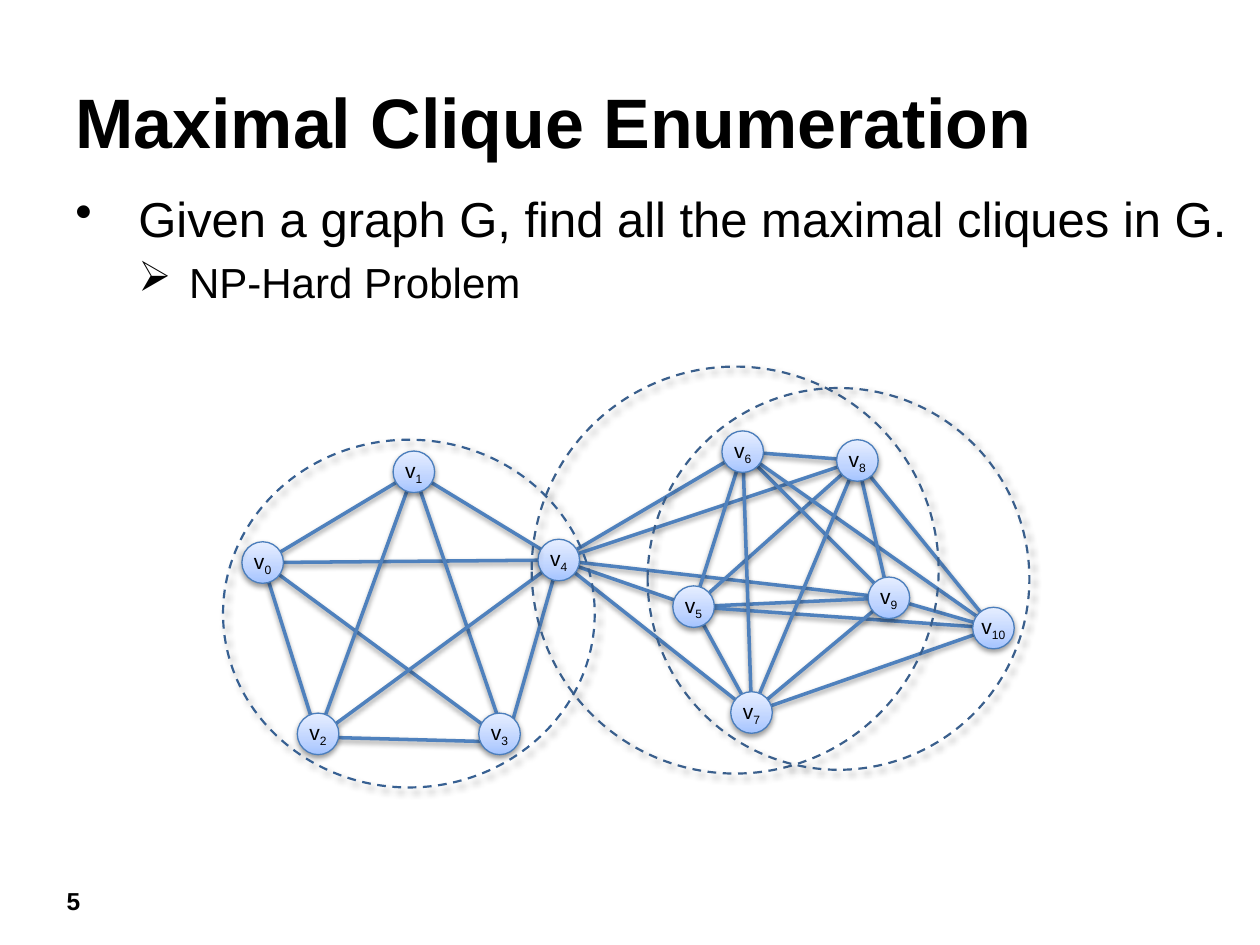
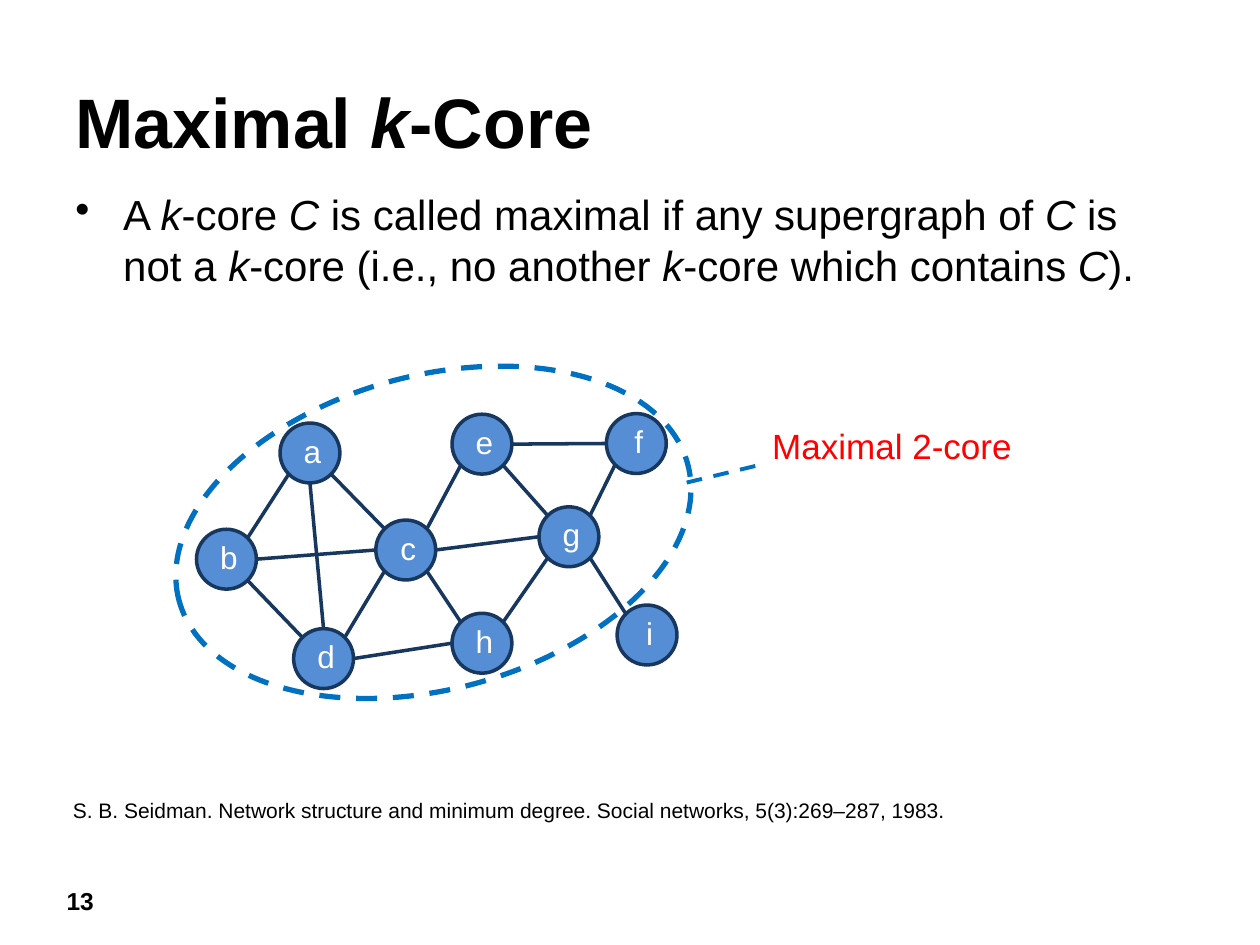
from dataclasses import dataclass
from itertools import combinations
from math import atan2, cos, pi, sin

from lxml.etree import SubElement
from pptx import Presentation
from pptx.dml.color import RGBColor
from pptx.enum.dml import MSO_LINE
from pptx.enum.shapes import MSO_CONNECTOR, MSO_SHAPE
from pptx.enum.text import MSO_ANCHOR, PP_ALIGN
from pptx.oxml.ns import qn
from pptx.util import Inches, Pt

COLUMNS, ROWS = 100, 75
CELL = Inches(10) / COLUMNS


@dataclass(frozen=True)
class Shadow:
    blur: float
    distance: float
    angle: int
    opacity: int


@dataclass(frozen=True)
class Theme:
    font: str = "Arial"
    text: str = "000000"
    inverse: str = "FFFFFF"
    callout: str = "FF0000"
    edge: str = "4F81BD"
    vertex_line: str = "4B7EBC"
    vertex_stops: tuple = ((0, "A4C4FF"), (35, "BFD4FF"), (100, "E6EEFF"))
    first_ring: str = "376092"
    ring: str = "3A5F8C"
    core_fill: str = "558ED5"
    core_line: str = "17375E"
    core_ring: str = "0070C0"
    title_size: int = 40
    lead_size: int = 28
    body_size: int = 24
    callout_size: int = 20
    core_size: int = 18
    number_size: int = 14
    small_size: int = 12
    edge_shadow: Shadow = Shadow(3.1, 1.6, 90, 38)
    ring_shadow: Shadow = Shadow(4, 3, 45, 40)


THEME = Theme()

CLIQUES = [range(0, 5), range(4, 10), range(5, 11)]
CLIQUE_RINGS = [
    (17.7, 34.9, 29.5, 27.6, THEME.first_ring),
    (42.2, 29.1, 32.3, 32.3, THEME.ring),
    (51.4, 30.8, 30.3, 30.3, THEME.ring),
]
VERTICES = [
    (20.85, 44.65), (32.85, 37.45), (25.25, 58.25), (39.65, 58.25),
    (44.35, 44.45), (55.05, 48.15), (58.95, 35.85), (59.65, 56.55),
    (68.05, 36.55), (70.55, 47.45), (78.85, 49.85),
]
EDGE_ENDS = dict(enumerate(VERTICES)) | {2: (25.2, 58.5), 3: (40.2, 58.9)}
VERTEX_SIZE = 3.3

CORE_NODES = {
    "a": (24.6, 35.95), "b": (17.97, 44.38), "c": (32.2, 43.65),
    "d": (25.68, 52.27), "e": (38.25, 35.25), "f": (50.5, 35.2),
    "g": (45.15, 42.6), "h": (38.25, 51.05), "i": (51.35, 50.4),
}
CORE_EDGES = "ac ab db cd cb ad ec ch hd gc eg gh gi fe fg".split()
CORE_SIZE = 4.75


def span_of(*cells):
    return [round(cell * CELL) for cell in cells]


def rgb(color):
    return RGBColor.from_string(color)


def set_font(para, size, color=THEME.text, bold=False):
    para.font.name = THEME.font
    para.font.size = Pt(size)
    para.font.color.rgb = rgb(color)
    para.font.bold = bold


def write(para, text):
    for index, piece in enumerate(text.split("*")):
        if piece:
            span = para.add_run()
            span.text = piece
            if index % 2:
                span.font.italic = True


def indent(para, left, hanging, bullet=None):
    properties = para._p.get_or_add_pPr()
    margin, first = span_of(left, -hanging)
    properties.set("marL", str(margin))
    properties.set("indent", str(first))
    if bullet:
        mark = properties.makeelement(qn("a:buChar"), {"char": bullet})
        properties.insert_element_before(mark, "a:tabLst", "a:defRPr", "a:extLst")


def add_text(page, place, text, size, color=THEME.text, bold=False,
             anchor=MSO_ANCHOR.TOP):
    box = page.shapes.add_textbox(*span_of(*place))
    box.text_frame.word_wrap = True
    box.text_frame.vertical_anchor = anchor
    para = box.text_frame.paragraphs[0]
    write(para, text)
    set_font(para, size, color, bold)
    return box


def add_bullets(page, place, items):
    box = page.shapes.add_textbox(*span_of(*place))
    frame = box.text_frame
    frame.word_wrap = True
    for index, (text, size, left, hanging, bullet) in enumerate(items):
        para = frame.add_paragraph() if index else frame.paragraphs[0]
        write(para, text)
        set_font(para, size)
        para.space_before = Pt(size * 0.2)
        indent(para, left, hanging, bullet)


def set_line(item, color, width, dashed=False, shadow=None):
    item.line.color.rgb = rgb(color)
    item.line.width = Pt(width)
    if dashed:
        item.line.dash_style = MSO_LINE.DASH
    effects = SubElement(item._element.spPr, qn("a:effectLst"))
    if shadow:
        outer = SubElement(
            effects, qn("a:outerShdw"), blurRad=str(Pt(shadow.blur)),
            dist=str(Pt(shadow.distance)), dir=str(shadow.angle * 60000),
            rotWithShape="0")
        tint = SubElement(outer, qn("a:srgbClr"), val="000000")
        SubElement(tint, qn("a:alpha"), val=str(shadow.opacity * 1000))


def add_edge(page, start, end, color, width, dashed=False, shadow=None):
    edge = page.shapes.add_connector(
        MSO_CONNECTOR.STRAIGHT, *span_of(*start, *end))
    set_line(edge, color, width, dashed, shadow)


def add_ring(page, place, color, width, shadow=None, rotation=0):
    ring = page.shapes.add_shape(MSO_SHAPE.OVAL, *span_of(*place))
    ring.rotation = rotation
    ring.fill.background()
    set_line(ring, color, width, True, shadow)


def add_node(page, preset, center, size, label, text_size, color, margins):
    left, top = (middle - size / 2 for middle in center)
    node = page.shapes.add_shape(preset, *span_of(left, top, size, size))
    frame = node.text_frame
    frame.word_wrap = False
    frame.vertical_anchor = MSO_ANCHOR.MIDDLE
    (frame.margin_left, frame.margin_top,
     frame.margin_right, frame.margin_bottom) = span_of(*margins)
    para = frame.paragraphs[0]
    para.alignment = PP_ALIGN.CENTER
    write(para, label)
    set_font(para, text_size, color)
    return node


def fill_gradient(shape, stops):
    shape.fill.background()
    properties = shape._element.spPr
    blank = properties.find(qn("a:noFill"))
    gradient = properties.makeelement(qn("a:gradFill"), {"rotWithShape": "1"})
    stop_list = SubElement(gradient, qn("a:gsLst"))
    for position, color in stops:
        stop = SubElement(stop_list, qn("a:gs"), pos=str(position * 1000))
        SubElement(stop, qn("a:srgbClr"), val=color)
    SubElement(gradient, qn("a:lin"), ang=str(270 * 60000), scaled="0")
    properties.replace(blank, gradient)


def add_vertex(page, number, center):
    vertex = add_node(page, MSO_SHAPE.FLOWCHART_CONNECTOR, center, VERTEX_SIZE,
                      "v", THEME.small_size, THEME.text, (0, 0, 0, 0))
    subscript = vertex.text_frame.paragraphs[0].add_run()
    subscript.text = str(number)
    subscript.font._element.set("baseline", "-25000")
    fill_gradient(vertex, THEME.vertex_stops)
    set_line(vertex, THEME.vertex_line, 0.75, shadow=THEME.edge_shadow)


def add_core_node(page, name, center):
    node = add_node(page, MSO_SHAPE.OVAL, center, CORE_SIZE, name,
                    THEME.core_size, THEME.inverse, (0.4, 0, 0, 0.4))
    node.fill.solid()
    node.fill.fore_color.rgb = rgb(THEME.core_fill)
    set_line(node, THEME.core_line, 2)


def rim_point(center, target):
    (x, y), (target_x, target_y) = center, target
    octant = round(atan2(target_y - y, target_x - x) / (pi / 4)) * pi / 4
    radius = CORE_SIZE / 2
    return x + radius * cos(octant), y + radius * sin(octant)


def add_page(deck, title, number):
    page = deck.slides.add_slide(deck.slide_layouts[6])
    footer = add_text(page, (4.3, 69.8, 4.7, 3.4), number,
                      THEME.number_size, bold=True)
    para = footer.text_frame.paragraphs[0]
    para.space_before = Pt(THEME.number_size * 0.2)
    indent(para, 3.8, 3.8)
    add_text(page, (5, 5.2, 90, 8.7), title, THEME.title_size, bold=True,
             anchor=MSO_ANCHOR.MIDDLE)
    return page


def add_clique_page(deck):
    page = add_page(deck, "Maximal Clique Enumeration", "5")
    add_bullets(page, (5, 14.5, 95, 11.4), [
        ("Given a graph G, find all the maximal cliques in G.",
         THEME.lead_size, 5, 5, "•"),
        (" NP-Hard Problem", THEME.body_size, 8.1, 3.1, "➢"),
    ])
    edges = {pair for clique in CLIQUES for pair in combinations(clique, 2)}
    for start, end in sorted(edges):
        add_edge(page, EDGE_ENDS[start], EDGE_ENDS[end], THEME.edge, 2,
                 shadow=THEME.edge_shadow)
    for number, center in enumerate(VERTICES):
        add_vertex(page, number, center)
    for *place, color in CLIQUE_RINGS:
        add_ring(page, place, color, 1.25, THEME.ring_shadow)


def add_core_page(deck):
    page = add_page(deck, "Maximal *k*-Core", "13")
    add_bullets(page, (5, 14.5, 90, 18.9), [
        ("A *k*-core *C* is called maximal if any supergraph of *C* is not a "
         "*k*-core (i.e., no another *k*-core which contains *C*).",
         THEME.body_size, 3.8, 3.8, "•"),
    ])
    add_text(page, (4.8, 62.8, 95, 3),
             "S. B. Seidman. Network structure and minimum degree. "
             "Social networks, 5(3):269–287, 1983.", THEME.small_size)
    add_text(page, (60.3, 33.2, 33, 4.4), "Maximal 2-core",
             THEME.callout_size, THEME.callout)
    add_ring(page, (13.5, 29.8, 41.8, 24.9), THEME.core_ring, 3, rotation=345)
    add_edge(page, (54.5, 38.3), (60.3, 36.9), THEME.core_ring, 2.25, True)
    for name, center in CORE_NODES.items():
        add_core_node(page, name, center)
    for first, second in CORE_EDGES:
        start, end = CORE_NODES[first], CORE_NODES[second]
        add_edge(page, rim_point(start, end), rim_point(end, start),
                 THEME.core_line, 2)


def main():
    deck = Presentation()
    deck.slide_width, deck.slide_height = span_of(COLUMNS, ROWS)
    add_clique_page(deck)
    add_core_page(deck)
    deck.save("out.pptx")


if __name__ == "__main__":
    main()
